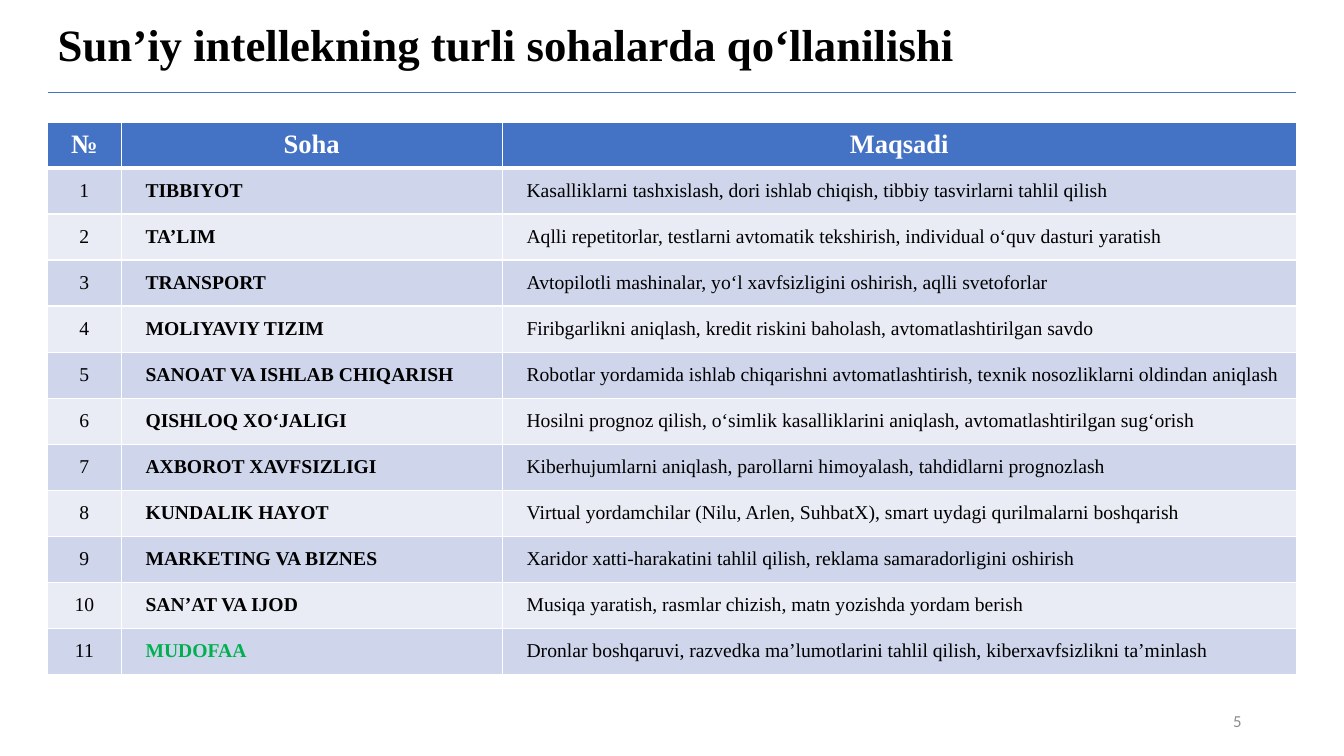
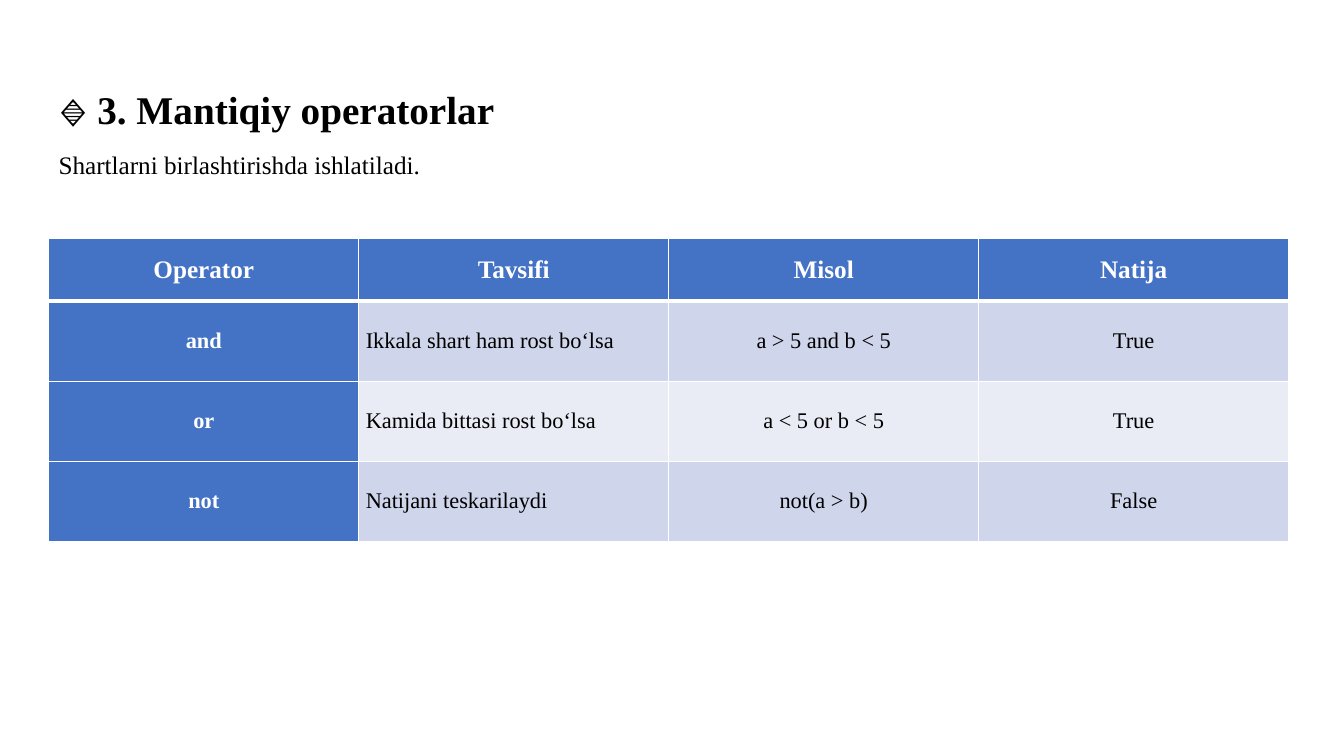
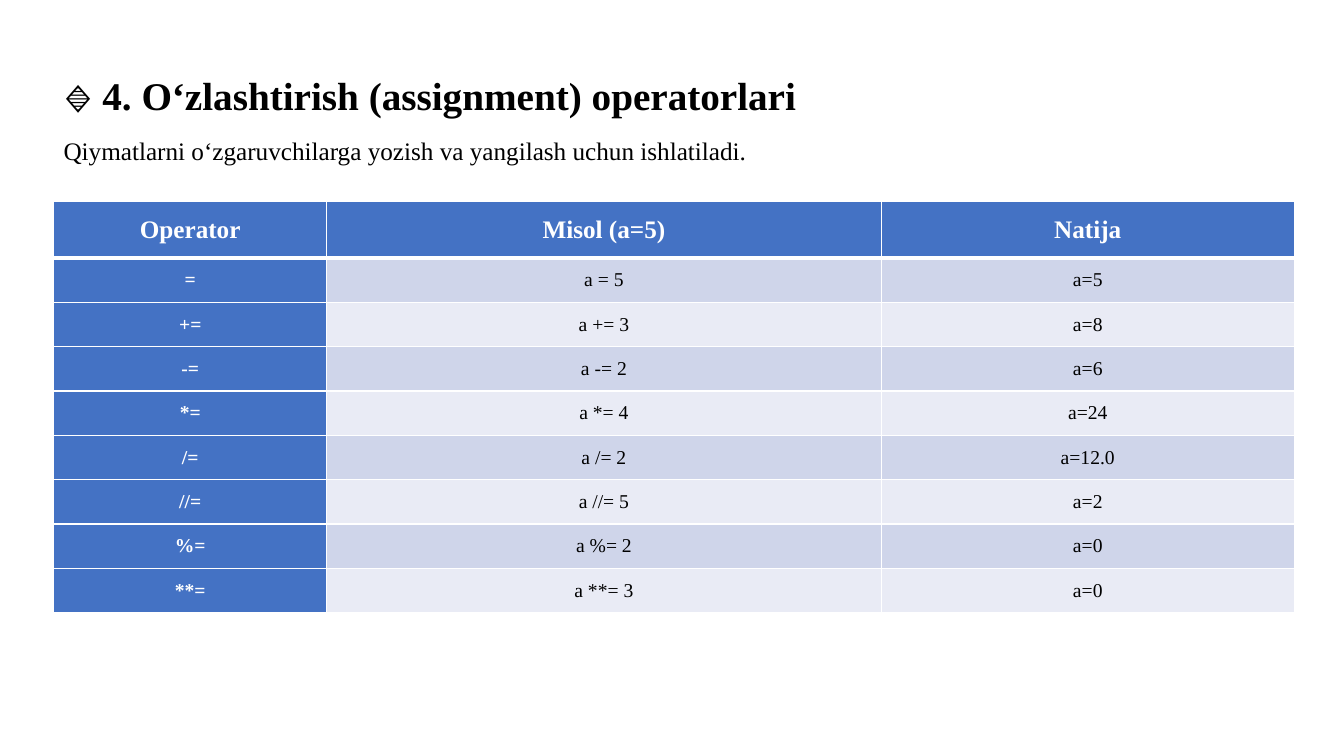
from dataclasses import dataclass
from typing import NamedTuple

from lxml.etree import SubElement
from pptx import Presentation
from pptx.dml.color import RGBColor
from pptx.enum.shapes import MSO_CONNECTOR
from pptx.enum.text import MSO_ANCHOR, MSO_AUTO_SIZE, PP_ALIGN
from pptx.oxml.ns import qn
from pptx.util import Pt

BLUE = RGBColor(0x44, 0x72, 0xC4)
BAND_DARK = RGBColor(0xCF, 0xD5, 0xEA)
BAND_LIGHT = RGBColor(0xE9, 0xEB, 0xF5)
WHITE = RGBColor(0xFF, 0xFF, 0xFF)
BLACK = RGBColor(0x00, 0x00, 0x00)
GREEN = RGBColor(0x00, 0xB0, 0x50)
GRAY = RGBColor(0x8C, 0x8C, 0x8C)

SERIF = "Times New Roman"
BULLET_FONT = "Karla"
NUMBER_FONT = "Calibri"
TITLE_ONLY = 5


class Box(NamedTuple):
    left: float
    top: float
    width: float
    height: float


class Column(NamedTuple):
    heading: str
    width: float
    align: PP_ALIGN = PP_ALIGN.CENTER
    bold: bool = False
    filled: bool = False
    indent: float = 0


@dataclass(frozen=True)
class TableSpec:
    left: float
    top: float
    header_height: float
    row_height: float
    header_size: float
    body_size: float
    margin_x: float
    margin_y: float
    columns: list[Column]
    rows: list[tuple[str, ...]]
    highlight: str = ""


@dataclass(frozen=True)
class OperatorSlide:
    heading: str
    subtitle: str
    heading_box: Box
    table: TableSpec


FIELDS_TABLE = TableSpec(
    34, 87.1, 32.9, 32.9, 19, 14, 3, 1.5,
    [
        Column("№", 52.6),
        Column("Soha", 272.2, PP_ALIGN.LEFT, bold=True, indent=14.4),
        Column("Maqsadi", 567.2, PP_ALIGN.LEFT, indent=14.4),
    ],
    [
        ("1", "TIBBIYOT", "Kasalliklarni tashxislash, dori ishlab chiqish, tibbiy tasvirlarni tahlil qilish"),
        ("2", "TA’LIM", "Aqlli repetitorlar, testlarni avtomatik tekshirish, individual o‘quv dasturi yaratish"),
        ("3", "TRANSPORT", "Avtopilotli mashinalar, yo‘l xavfsizligini oshirish, aqlli svetoforlar"),
        ("4", "MOLIYAVIY TIZIM", "Firibgarlikni aniqlash, kredit riskini baholash, avtomatlashtirilgan savdo"),
        ("5", "SANOAT VA ISHLAB CHIQARISH",
         "Robotlar yordamida ishlab chiqarishni avtomatlashtirish, texnik nosozliklarni oldindan aniqlash"),
        ("6", "QISHLOQ XO‘JALIGI",
         "Hosilni prognoz qilish, o‘simlik kasalliklarini aniqlash, avtomatlashtirilgan sug‘orish"),
        ("7", "AXBOROT XAVFSIZLIGI", "Kiberhujumlarni aniqlash, parollarni himoyalash, tahdidlarni prognozlash"),
        ("8", "KUNDALIK HAYOT", "Virtual yordamchilar (Nilu, Arlen, SuhbatX), smart uydagi qurilmalarni boshqarish"),
        ("9", "MARKETING VA BIZNES", "Xaridor xatti-harakatini tahlil qilish, reklama samaradorligini oshirish"),
        ("10", "SAN’AT VA IJOD", "Musiqa yaratish, rasmlar chizish, matn yozishda yordam berish"),
        ("11", "MUDOFAA", "Dronlar boshqaruvi, razvedka ma’lumotlarini tahlil qilish, kiberxavfsizlikni ta’minlash"),
    ],
    highlight="MUDOFAA",
)

OPERATOR_SLIDES = [
    OperatorSlide(
        "3. Mantiqiy operatorlar",
        "Shartlarni birlashtirishda ishlatiladi.",
        Box(34.6, 57.6, 480, 75),
        TableSpec(
            34.9, 170.6, 44.6, 57.2, 18, 16, 5, 0,
            [
                Column("Operator", 221.4, bold=True, filled=True),
                Column("Tavsifi", 221.4, PP_ALIGN.LEFT),
                Column("Misol", 221.4),
                Column("Natija", 221.4),
            ],
            [
                ("and", "Ikkala shart ham rost bo‘lsa", "a > 5 and b < 5", "True"),
                ("or", "Kamida bittasi rost bo‘lsa", "a < 5 or b < 5", "True"),
                ("not", "Natijani teskarilaydi", "not(a > b)", "False"),
            ],
        ),
    ),
    OperatorSlide(
        "4. O‘zlashtirish (assignment) operatorlari",
        "Qiymatlarni o‘zgaruvchilarga yozish va yangilash uchun ishlatiladi.",
        Box(38.2, 47.5, 577.4, 75),
        TableSpec(
            38.4, 144.2, 40, 31.7, 18, 14, 5, 0,
            [
                Column("Operator", 195, bold=True, filled=True),
                Column("Misol (a=5)", 396),
                Column("Natija", 295.2),
            ],
            [
                ("=", "a = 5", "a=5"),
                ("+=", "a += 3", "a=8"),
                ("-=", "a -= 2", "a=6"),
                ("*=", "a *= 4", "a=24"),
                ("/=", "a /= 2", "a=12.0"),
                ("//=", "a //= 5", "a=2"),
                ("%=", "a %= 2", "a=0"),
                ("**=", "a **= 3", "a=0"),
            ],
        ),
    ),
]


def add_text(paragraph, text: str, *, size: float, color: RGBColor = BLACK, bold: bool = False,
             font: str = SERIF, align: PP_ALIGN = PP_ALIGN.LEFT) -> None:
    paragraph.alignment = align
    run = paragraph.add_run()
    run.text = text
    run.font.size = Pt(size)
    run.font.name = font
    run.font.bold = bold
    run.font.color.rgb = color


def place_title(slide, box: Box):
    title = slide.shapes.title
    title.left, title.top, title.width, title.height = map(Pt, box)
    frame = title.text_frame
    frame.word_wrap = True
    frame.auto_size = MSO_AUTO_SIZE.SHAPE_TO_FIT_TEXT
    frame.vertical_anchor = MSO_ANCHOR.TOP
    return frame


def set_borders(cell, top: float, bottom: float) -> None:
    properties = cell._tc.get_or_add_tcPr()
    for index, (side, width) in enumerate((("lnL", 1), ("lnR", 1), ("lnT", top), ("lnB", bottom))):
        line = SubElement(properties, qn(f"a:{side}"), w=str(Pt(width)))
        fill = SubElement(line, qn("a:solidFill"))
        SubElement(fill, qn("a:srgbClr"), val=str(WHITE))
        properties.insert(index, line)


def draw_table(slide, spec: TableSpec) -> None:
    row_count = len(spec.rows) + 1
    width = sum(column.width for column in spec.columns)
    height = spec.header_height + spec.row_height * len(spec.rows)
    table = slide.shapes.add_table(
        row_count, len(spec.columns), Pt(spec.left), Pt(spec.top), Pt(width), Pt(height)
    ).table
    table.horz_banding = False
    headings = tuple(column.heading for column in spec.columns)
    for table_column, column in zip(table.columns, spec.columns):
        table_column.width = Pt(column.width)
    for row_index, values in enumerate([headings, *spec.rows]):
        is_header = row_index == 0
        table.rows[row_index].height = Pt(spec.header_height if is_header else spec.row_height)
        band = BAND_DARK if row_index % 2 else BAND_LIGHT
        for column_index, (value, column) in enumerate(zip(values, spec.columns)):
            cell = table.cell(row_index, column_index)
            accented = is_header or column.filled
            cell.fill.solid()
            cell.fill.fore_color.rgb = BLUE if accented else band
            cell.vertical_anchor = MSO_ANCHOR.MIDDLE
            cell.margin_left = Pt(spec.margin_x + (0 if is_header else column.indent))
            cell.margin_right = Pt(spec.margin_x)
            cell.margin_top = cell.margin_bottom = Pt(spec.margin_y)
            set_borders(cell, 3 if row_index == 1 else 1, 3 if is_header else 1)
            color = WHITE if accented else GREEN if value == spec.highlight else BLACK
            add_text(
                cell.text_frame.paragraphs[0], value,
                size=spec.header_size if is_header else spec.body_size,
                color=color, bold=is_header or column.bold,
                align=PP_ALIGN.CENTER if is_header else column.align,
            )


def draw_fields_slide(slide) -> None:
    number = slide.shapes.add_textbox(Pt(678), Pt(500.4), Pt(216), Pt(28.8)).text_frame
    number.word_wrap = True
    number.vertical_anchor = MSO_ANCHOR.MIDDLE
    add_text(number.paragraphs[0], "5", size=12, color=GRAY, font=NUMBER_FONT, align=PP_ALIGN.RIGHT)
    rule = slide.shapes.add_connector(MSO_CONNECTOR.STRAIGHT, Pt(34), Pt(66.2), Pt(926), Pt(66.2))
    rule.line.color.rgb = BLUE
    rule.line.width = Pt(0.5)
    SubElement(rule._element.spPr, qn("a:effectLst"))
    title = place_title(slide, Box(34, 8.6, 660, 46))
    add_text(title.paragraphs[0], "Sun’iy intellekning turli sohalarda qo‘llanilishi", size=32, bold=True)
    draw_table(slide, FIELDS_TABLE)


def draw_operator_slide(slide, content: OperatorSlide) -> None:
    frame = place_title(slide, content.heading_box)
    heading = frame.paragraphs[0]
    heading.space_after = Pt(6)
    add_text(heading, "🔹", size=28, bold=True, font=BULLET_FONT)
    add_text(heading, f" {content.heading}", size=28, bold=True)
    subtitle = frame.add_paragraph()
    subtitle.space_before = subtitle.space_after = Pt(6)
    add_text(subtitle, content.subtitle, size=18)
    draw_table(slide, content.table)


def main() -> None:
    presentation = Presentation()
    presentation.slide_width, presentation.slide_height = Pt(960), Pt(540)
    layout = presentation.slide_layouts[TITLE_ONLY]
    draw_fields_slide(presentation.slides.add_slide(layout))
    for content in OPERATOR_SLIDES:
        draw_operator_slide(presentation.slides.add_slide(layout), content)
    presentation.save("out.pptx")


if __name__ == "__main__":
    main()
